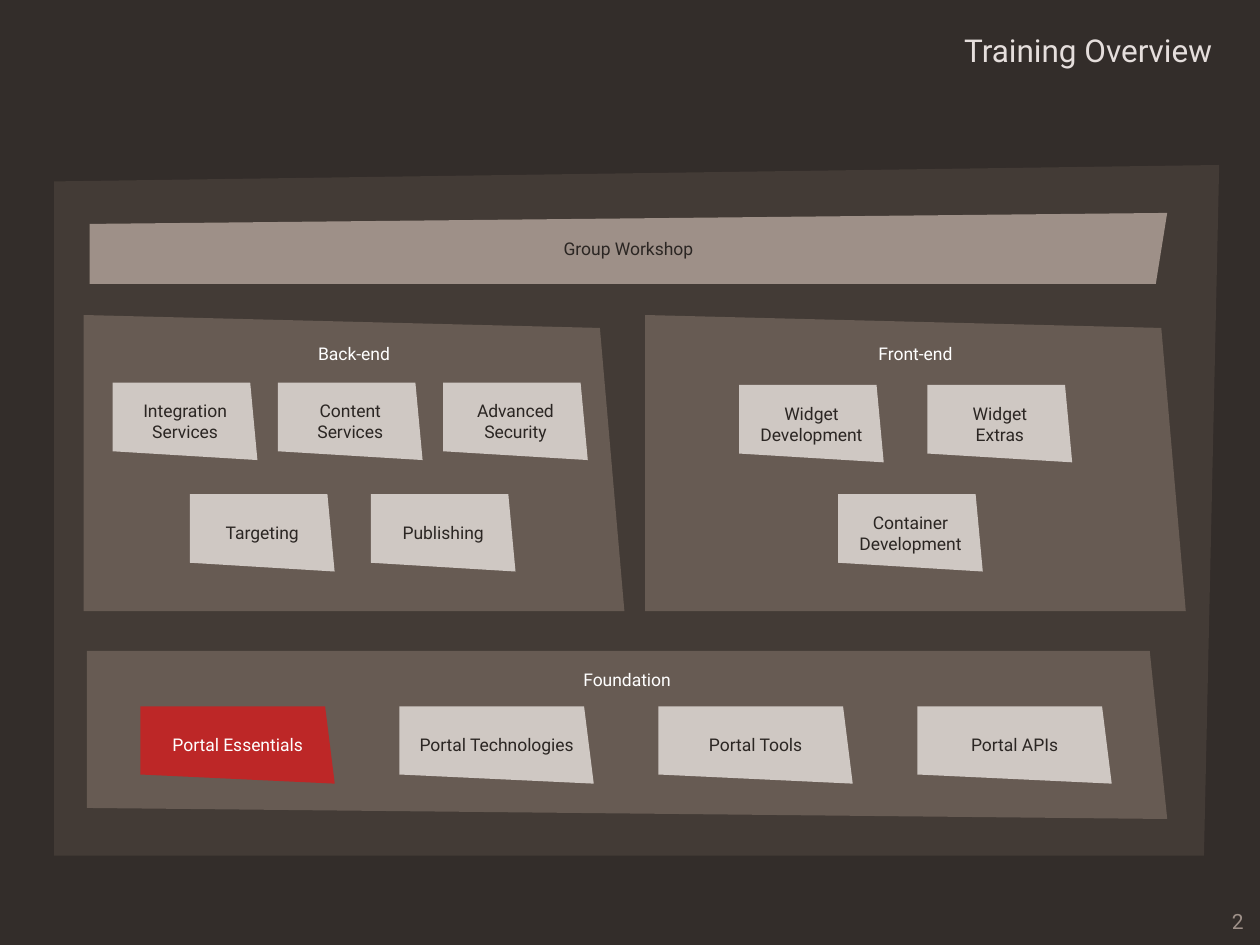
from pptx import Presentation
from pptx.dml.color import RGBColor
from pptx.enum.text import MSO_ANCHOR as Anchor, PP_ALIGN as Align
from pptx.util import Pt

BACKGROUND, PANEL, GROUP, BAR = "332D2A", "433B36", "675B53", "9E9088"
CARD, ACTIVE, DARK, WHITE = "CFC8C3", "BD2727", "2B2623", "FFFFFF"

deck = Presentation()
deck.slide_width, deck.slide_height = Pt(720), Pt(540)
page = deck.slides.add_slide(deck.slide_layouts[6])
page.background.fill.solid()
page.background.fill.fore_color.rgb = RGBColor.from_string(BACKGROUND)


def set_text(box, text, size, color, align):
    box.text_frame.text = text
    for para in box.text_frame.paragraphs:
        para.alignment = align
        for span in para.runs:
            span.font.name = "Roboto"
            span.font.size = Pt(size)
            span.font.color.rgb = RGBColor.from_string(color)


def add_panel(corners, fill, text="", color=DARK, top_inset=None):
    """Draw a filled quadrilateral; a top inset makes its text a heading."""
    points = [(Pt(x), Pt(y)) for x, y in corners]
    builder = page.shapes.build_freeform(*points[0])
    builder.add_line_segments(points[1:], close=True)
    panel = builder.convert_to_shape()
    panel.shadow.inherit = False
    panel.fill.solid()
    panel.fill.fore_color.rgb = RGBColor.from_string(fill)
    panel.line.fill.background()
    if text:
        frame = panel.text_frame
        frame.word_wrap = False
        frame.vertical_anchor = Anchor.MIDDLE
        if top_inset is not None:
            frame.vertical_anchor = Anchor.TOP
            frame.margin_top = Pt(top_inset)
        set_text(panel, text, 10, color, Align.CENTER)


# Title and page number
for text, left, top, width, height, size, color, anchor in [
    ("Training Overview", 206.6, 14.4, 493.2, 28.8, 18, "E5DEDC", Anchor.TOP),
    ("2", 586, 516.2, 131.8, 20.2, 12, BAR, Anchor.MIDDLE),
]:
    box = page.shapes.add_textbox(Pt(left), Pt(top), Pt(width), Pt(height))
    box.text_frame.word_wrap = True
    box.text_frame.vertical_anchor = anchor
    set_text(box, text, size, color, Align.RIGHT)

# Outer panel
add_panel([(31, 103.7), (696.7, 94.3), (688, 489), (31, 489)], PANEL)

# Foundation, front-end and back-end groups
add_panel([(49.7, 372), (657, 372), (667, 468), (49.7, 461.7)],
          GROUP, "Foundation", WHITE, 10)
for left, heading in [(368.6, "Front-end"), (47.8, "Back-end")]:
    add_panel([(left, 180), (left + 295, 187.4), (left + 309, 349.2), (left, 349.2)],
              GROUP, heading, WHITE, 15.8)

# Rows of course cards: left, top, step, width, slant, lower-left height, names
card_rows = [
    (64.4, 218.7, 94.4, 82.7, 4.1, 39.2,
     ["Integration\nServices", "Content\nServices", "Advanced\nSecurity"]),
    (108.5, 282.4, 103.4, 82.7, 4.1, 39.2, ["Targeting", "Publishing"]),
    (80.3, 403.6, 148, 111, 5.5, 39, 
     ["Portal Essentials", "Portal Technologies", "Portal Tools", "Portal APIs"]),
    (422.3, 220, 107.7, 82.7, 4.1, 39.2, ["Widget\nDevelopment", "Widget\nExtras"]),
    (478.9, 282.4, 0, 82.7, 4.1, 39.2, ["Container\nDevelopment"]),
]
for row_left, top, step, width, slant, drop, names in card_rows:
    for index, name in enumerate(names):
        left = row_left + index * step
        active = name == "Portal Essentials"
        add_panel([(left, top), (left + width - slant, top),
                   (left + width, top + 44.2), (left, top + drop)],
                  ACTIVE if active else CARD, name, WHITE if active else DARK)

# Workshop bar
add_panel([(51.2, 128), (667, 121.7), (660.5, 162.3), (51.2, 162.3)],
          BAR, "Group Workshop")

deck.save("out.pptx")
